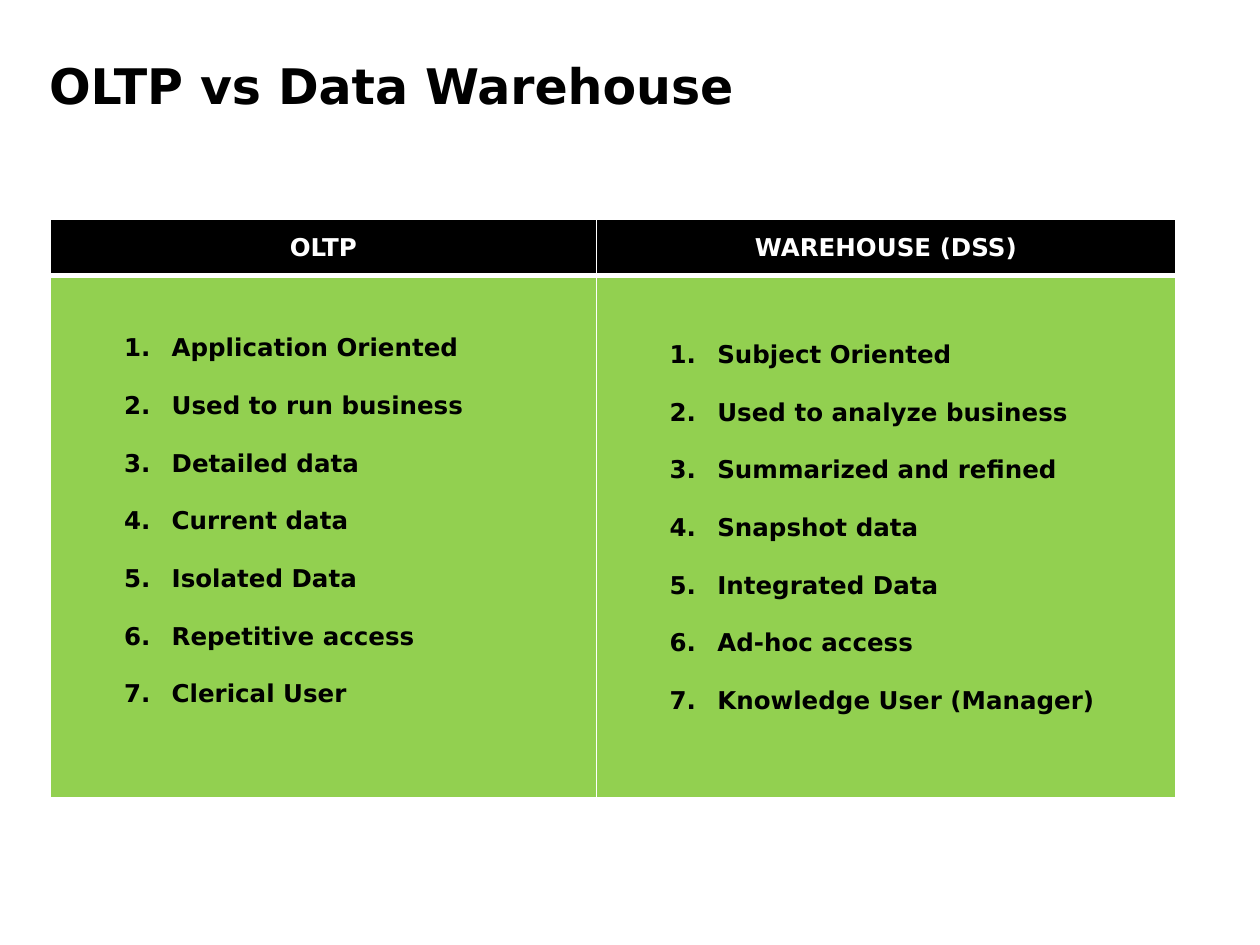
from lxml import etree
from pptx import Presentation
from pptx.dml.color import RGBColor
from pptx.enum.text import MSO_ANCHOR, PP_ALIGN
from pptx.oxml.ns import qn
from pptx.util import Cm, Pt

LEFT, CENTER = PP_ALIGN.LEFT, PP_ALIGN.CENTER
TOP, MIDDLE = MSO_ANCHOR.TOP, MSO_ANCHOR.MIDDLE
FONT = "DejaVu Sans"
BLACK, WHITE, GREEN = "000000", "FFFFFF", "92D050"

# heading, column width, bottom margin of the list cell, items
COLUMNS = [
    ("OLTP", Cm(11), Cm(0.72),
     ["Application Oriented", "Used to run business", "Detailed data", "Current data",
      "Isolated Data", "Repetitive access", "Clerical User"]),
    ("WAREHOUSE (DSS)", Cm(11.68), Cm(0.45),
     ["Subject Oriented", "Used to analyze business", "Summarized and refined",
      "Snapshot data", "Integrated Data", "Ad-hoc access", "Knowledge User (Manager)"]),
]


def style_text(para, size, color, align):
    para.alignment = align
    for span in para.runs:
        span.font.name = FONT
        span.font.size = Pt(size)
        span.font.bold = True
        span.font.color.rgb = RGBColor.from_string(color)


def style_cell(cell, fill, top_width, bottom_width):
    """Fill the cell and give it white borders; widths are in points."""
    cell.vertical_anchor = MIDDLE
    cell.margin_left = cell.margin_right = Cm(0.2)
    cell.margin_top = cell.margin_bottom = Cm(0.1)
    cell.fill.solid()
    cell.fill.fore_color.rgb = RGBColor.from_string(fill)
    properties = cell._tc.get_or_add_tcPr()
    widths = {"a:lnL": 1, "a:lnR": 1, "a:lnT": top_width, "a:lnB": bottom_width}
    for position, (tag, width) in enumerate(widths.items()):
        line = etree.Element(qn(tag), w=str(Pt(width)))
        solid = etree.SubElement(line, qn("a:solidFill"))
        etree.SubElement(solid, qn("a:srgbClr"), val=WHITE)
        properties.insert(position, line)


deck = Presentation()
deck.slide_width, deck.slide_height = Cm(25.4), Cm(19.05)
page = deck.slides.add_slide(deck.slide_layouts[5])

title = page.shapes.title
title.left, title.top, title.width, title.height = Cm(0.99), Cm(1.12), Cm(23.44), Cm(1.93)
frame = title.text_frame
frame.text = "OLTP vs Data Warehouse"
frame.vertical_anchor = TOP
frame.margin_left = frame.margin_right = frame.margin_top = frame.margin_bottom = 0
style_text(frame.paragraphs[0], 28, BLACK, LEFT)

table = page.shapes.add_table(2, 2, Cm(1.02), Cm(4.42), Cm(22.68), Cm(11.66)).table
table.rows[0].height, table.rows[1].height = Cm(1.14), Cm(10.52)

for index, (heading, width, bottom_margin, items) in enumerate(COLUMNS):
    table.columns[index].width = width

    header = table.cell(0, index)
    style_cell(header, BLACK, 1, 3)
    header.text_frame.text = heading
    style_text(header.text_frame.paragraphs[0], 14, WHITE, CENTER)

    body = table.cell(1, index)
    style_cell(body, GREEN, 3, 1)
    body.margin_bottom = bottom_margin
    body.text_frame.text = "\n".join(items)
    for number, para in enumerate(body.text_frame.paragraphs):
        style_text(para, 14, BLACK, LEFT)
        para.space_before = Pt(16.5 if number else 0)
        properties = para._p.get_or_add_pPr()
        properties.set("marL", str(Cm(2.24)))
        properties.set("indent", str(-Cm(0.96)))
        etree.SubElement(properties, qn("a:buFont"), typeface=FONT)
        etree.SubElement(properties, qn("a:buAutoNum"), type="arabicPeriod")

deck.save("out.pptx")
